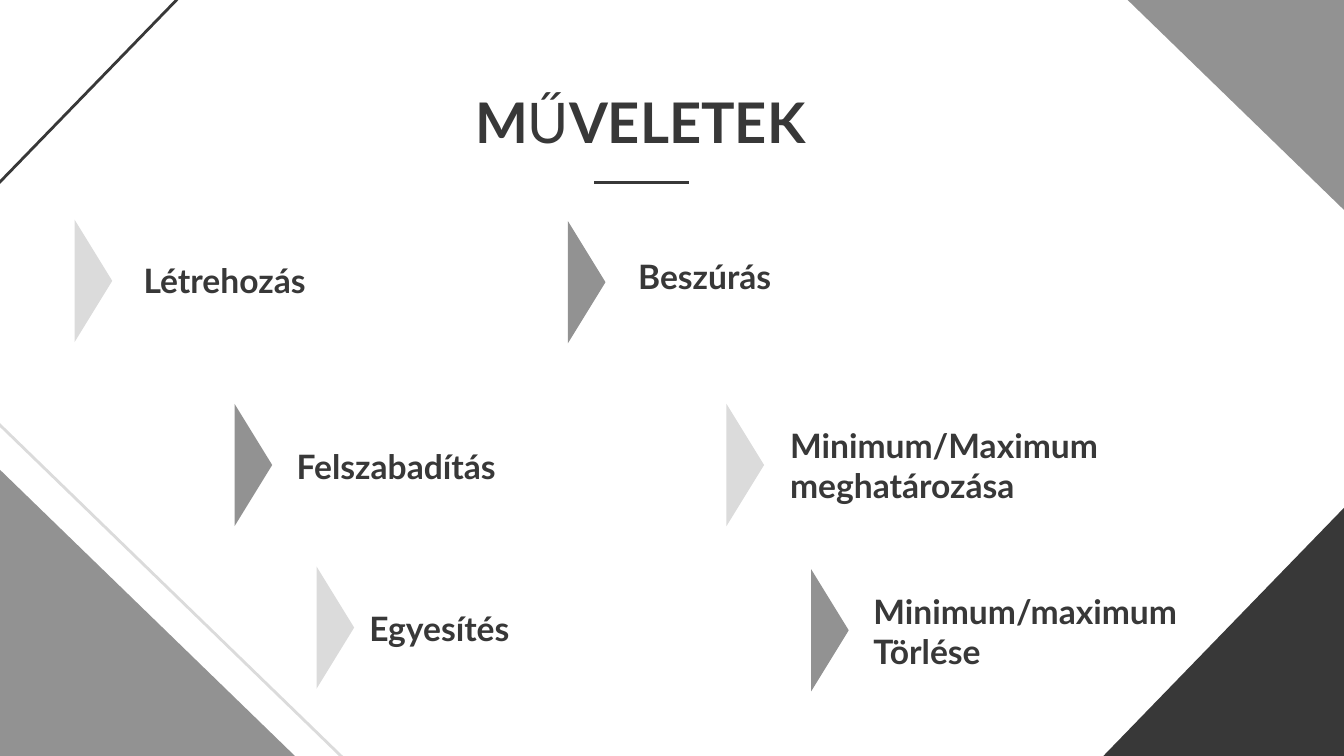
"""Build the slide that lists the heap operations."""
import pptx
import pptx.util
import pptx.dml.color
import pptx.enum.shapes
import pptx.enum.text
import pptx.oxml.ns
from lxml import etree

Inches = pptx.util.Inches
Shape = pptx.enum.shapes.MSO_SHAPE
Align = pptx.enum.text.PP_ALIGN
Anchor = pptx.enum.text.MSO_ANCHOR


class Deck:
    font = "Lato"
    colors = {"dark": "383838", "mid": "929292", "light": "DBDBDB"}

    def __init__(self, width, height):
        self.show = pptx.Presentation()
        self.show.slide_width = Inches(width)
        self.show.slide_height = Inches(height)
        self.slide = self.show.slides.add_slide(self.show.slide_layouts[6])

    def color(self, name):
        return pptx.dml.color.RGBColor.from_string(self.colors[name])

    def stroke(self, line, color):
        line.color.rgb = self.color(color)
        line.width = pptx.util.Pt(1.5)

    def shape(self, kind, box, turn, fill=None, edge=None):
        item = self.slide.shapes.add_shape(kind, *map(Inches, box))
        item.rotation = turn
        item.shadow.inherit = False
        if fill:
            item.fill.solid()
            item.fill.fore_color.rgb = self.color(fill)
        else:
            item.fill.background()
        if edge:
            self.stroke(item.line, edge)
        else:
            item.line.fill.background()

    def line(self, *ends):
        item = self.slide.shapes.add_connector(
            pptx.enum.shapes.MSO_CONNECTOR.STRAIGHT, *map(Inches, ends))
        self.stroke(item.line, "dark")
        props = item._element.spPr
        etree.SubElement(props, pptx.oxml.ns.qn("a:effectLst"))

    def text(self, box, runs, size=18, align=Align.LEFT, anchor=Anchor.MIDDLE, below=0.1):
        frame = self.slide.shapes.add_textbox(*map(Inches, box)).text_frame
        frame.word_wrap = True
        frame.vertical_anchor = anchor
        frame.margin_left = frame.margin_right = frame.margin_top = Inches(0.1)
        frame.margin_bottom = Inches(below)
        para = frame.paragraphs[0]
        para.alignment = align
        para.font.name = self.font
        para.font.size = pptx.util.Pt(size)
        para.font.color.rgb = self.color("dark")
        if isinstance(runs, str):
            para.text = runs
            para.font.bold = True
            return
        for words, bold in runs:
            run = para.add_run()
            run.text = words
            run.font.bold = bold


deck = Deck(10, 5.625)

corners = [
    ((8, 3.53, 2.31, 2.24), 270, "dark", None),
    ((-0.57, 2.61, 3.72, 3.61), 0, None, "light"),
    ((-0.81, 2.71, 3.72, 3.61), 0, "mid", None),
    ((7.36, -1, 3.72, 3.61), 180, "mid", None),
    ((-0.29, -2.07, 3.72, 3.61), 90, None, "dark"),
]
for box, turn, fill, edge in corners:
    deck.shape(Shape.RIGHT_TRIANGLE, box, turn, fill, edge)

deck.text((0.55, 0.55, 8.43, 0.58), [("M", True), ("Ű", False), ("VELETEK", True)],
          size=30, align=Align.CENTER, anchor=Anchor.TOP)
deck.line(4.42, 1.36, 5.13, 1.36)

steps = [
    ("Létrehozás", (0.97, 1.9, 2.14, 0.37), 0.1, (0.24, 1.95), "light"),
    ("Beszúrás", (4.65, 1.74, 4.19, 0.93), 0.4, (3.91, 1.96), "mid"),
    ("Felszabadítás", (2.11, 3.01, 2.14, 1.21), 0.4, (1.43, 3.32), "mid"),
    ("Minimum/Maximum\vmeghatározása", (5.78, 2.95, 3.92, 1.02), 0.1, (5.09, 3.32), "light"),
    ("Egyesítés", (2.65, 4.49, 2.14, 0.37), 0.1, (2.04, 4.53), "light"),
    ("Minimum/maximum\vTörlése", (6.4, 4.22, 2.87, 1.25), 0.4, (5.72, 4.55), "mid"),
]
for label, box, below, spot, fill in steps:
    deck.shape(Shape.ISOSCELES_TRIANGLE, (*spot, 0.91, 0.28), 90, fill)
    deck.text(box, label, below=below)

deck.show.save("out.pptx")
